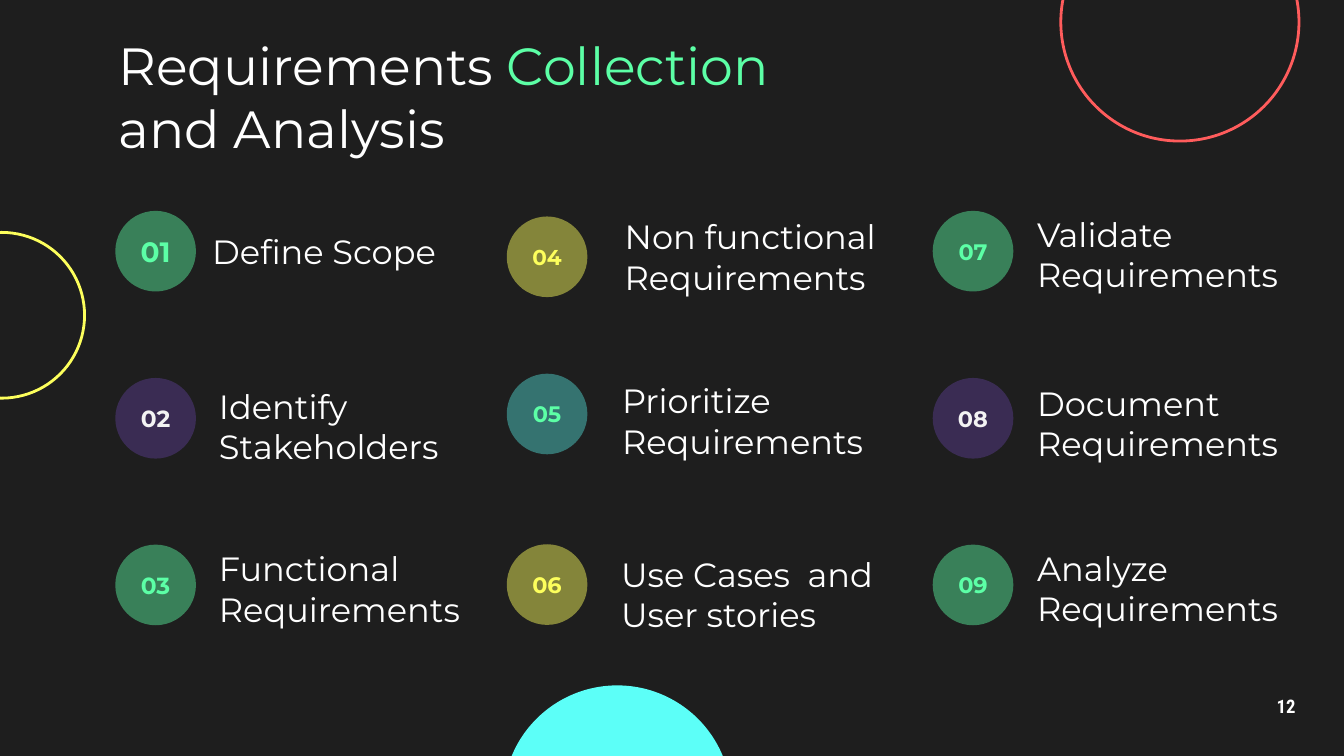
from pptx import Presentation
from pptx.dml.color import RGBColor
from pptx.enum.shapes import MSO_SHAPE
from pptx.enum.text import MSO_ANCHOR, MSO_AUTO_SIZE, PP_ALIGN
from pptx.oxml.ns import qn
from pptx.util import Pt
from lxml import etree

OVAL = MSO_SHAPE.OVAL
MIDDLE = MSO_ANCHOR.MIDDLE
FIXED = MSO_AUTO_SIZE.NONE
LEFT, CENTER = PP_ALIGN.LEFT, PP_ALIGN.CENTER

HEX = {
    "dark": "1E1E1E", "white": "FFFFFF", "pale": "F3F3F3",
    "green": "5CFFA6", "purple": "955CFF", "yellow": "FDFF5C",
    "cyan": "5CFFF8", "red": "FF5C5C",
}
RGB = {name: RGBColor.from_string(code) for name, code in HEX.items()}
ALPHA = {"green": 44, "purple": 24, "yellow": 46, "cyan": 38}


def add_disc(x, y, size, fill=None, line=None):
    disc = slide.shapes.add_shape(OVAL, Pt(x), Pt(y), Pt(size), Pt(size))
    disc.shadow.inherit = False
    if fill:
        disc.fill.solid()
        disc.fill.fore_color.rgb = RGB[fill]
    else:
        disc.fill.background()
    if line:
        disc.line.color.rgb = RGB[line]
        disc.line.width = Pt(1.5)
    else:
        disc.line.fill.background()
    return disc


def set_text(shape, text, size, color, inset=7.2, align=LEFT, bold=False, face="Montserrat"):
    frame = shape.text_frame
    frame.word_wrap = True
    frame.auto_size = FIXED
    frame.vertical_anchor = MIDDLE
    frame.margin_left = frame.margin_right = Pt(inset)
    frame.margin_top = frame.margin_bottom = Pt(inset)
    frame.text = text
    for para in frame.paragraphs:
        para.alignment = align
        para.font.name = face
        para.font.size = Pt(size)
        para.font.bold = bold
        para.font.color.rgb = RGB[color]
    return frame


deck = Presentation()
deck.slide_width, deck.slide_height = Pt(720), Pt(405)
slide = deck.slides.add_slide(deck.slide_layouts[5])
slide.background.fill.solid()
slide.background.fill.fore_color.rgb = RGB["dark"]

add_disc(-43.5, 124.5, 88.8, line="yellow")
add_disc(269.5, 367.2, 122.4, fill="cyan")
add_disc(568.3, -52, 127.6, line="red")

title = slide.shapes.title
title.left, title.top, title.width, title.height = Pt(56.4), Pt(20.9), Pt(607.6), Pt(61.2)
frame = set_text(title, "Requirements \nand Analysis", 28, "white")
run = frame.paragraphs[0].add_run()
run.text = "Collection"
run.font.color.rgb = RGB["green"]

page = slide.shapes.add_textbox(Pt(667.4), Pt(367.2), Pt(43.2), Pt(24.5))
frame = set_text(page, "12", 10, "white", align=CENTER, bold=True, face="Roboto Condensed")
frame.paragraphs[0].line_spacing = 0.8

SIZE = 43.2
TALL = 52
columns = [
    (61.8, 150.5, [
        (113, "green", "green", 15, 106.6, 134.6, "Define Scope"),
        (202.5, "purple", "pale", 12.5, 110.2, 228.2, "Identify\nStakeholders"),
        (291.8, "green", "green", 12.5, 110.2, 315.4, "Functional\nRequirements"),
    ]),
    (271.5, 162.7, [
        (116, "yellow", "yellow", 11.5, 327.6, 137.5, "Non functional\nRequirements"),
        (200.2, "cyan", "green", 12, 326.2, 225.4, "Prioritize\nRequirements"),
        (291.6, "yellow", "yellow", 12, 325.7, 318.2, "Use Cases  and\nUser stories"),
    ]),
    (499.7, 150.5, [
        (113, "green", "green", 12, 548.5, 136.1, "Validate\nRequirements"),
        (202.5, "purple", "pale", 12, 548.5, 226.8, "Document\nRequirements"),
        (291.8, "green", "green", 12, 548.5, 314.9, "Analyze\nRequirements"),
    ]),
]

count = 0
for x, wide, steps in columns:
    for y, fill, ink, size, left, mid, label in steps:
        count += 1
        disc = add_disc(x, y, SIZE, fill=fill)
        tint = disc.fill._xPr.find(qn("a:solidFill"))[0]
        etree.SubElement(tint, qn("a:alpha")).set("val", str(ALPHA[fill] * 1000))
        set_text(disc, f"{count:02}", size, ink, inset=0, align=CENTER, bold=True)
        box = slide.shapes.add_textbox(Pt(left), Pt(mid - TALL / 2), Pt(wide), Pt(TALL))
        set_text(box, label, 18, "white")

deck.save("out.pptx")
